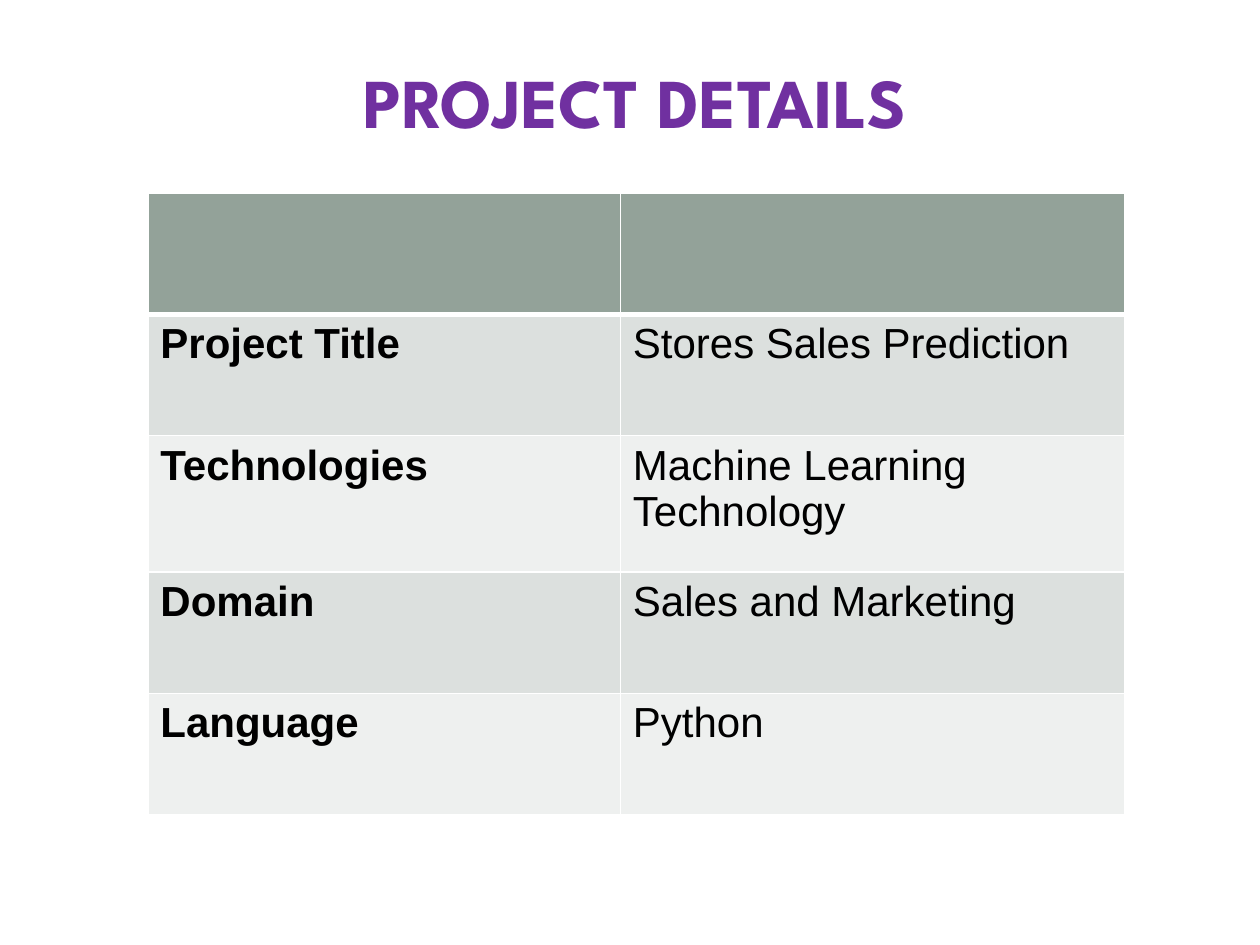
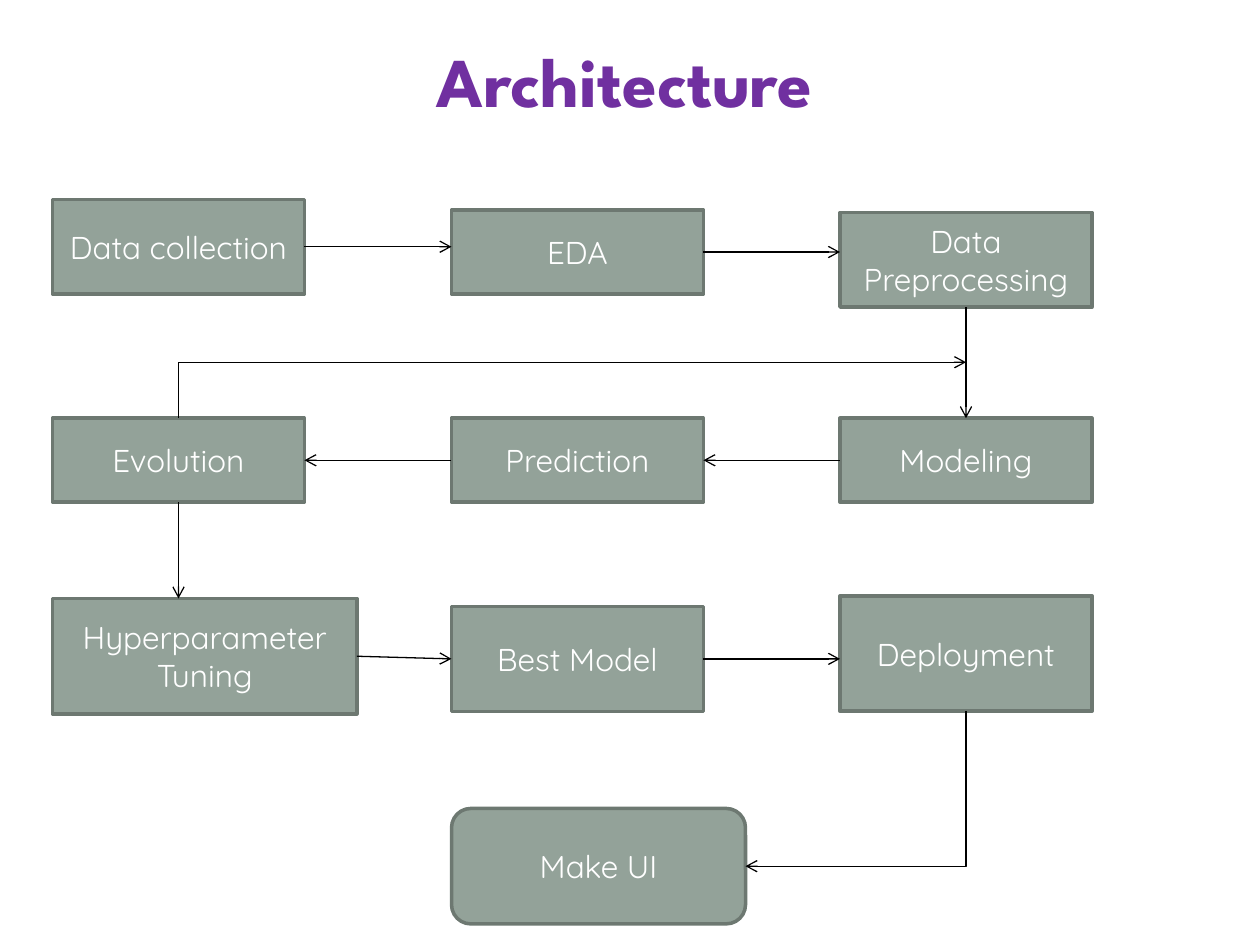
from pptx import Presentation
from pptx.dml.color import RGBColor
from pptx.enum.shapes import MSO_CONNECTOR, MSO_SHAPE
from pptx.enum.text import MSO_ANCHOR, MSO_AUTO_SIZE, PP_ALIGN
from pptx.oxml.ns import qn
from pptx.util import Pt
from lxml.etree import SubElement

COLORS = {
    "title": "7030A0",
    "sage": "93A299",
    "outline": "6D7871",
    "band_dark": "DCE0DE",
    "band_light": "EEF0EF",
    "white": "FFFFFF",
    "black": "000000",
}


class Deck:
    """Holds the shared style and draws on the current slide."""

    def __init__(self):
        self.presentation = Presentation()
        self.presentation.slide_width = Pt(720)
        self.presentation.slide_height = Pt(540)
        self.slide = None

    def color(self, name):
        return RGBColor.from_string(COLORS[name])

    def paint(self, fill, name):
        fill.solid()
        fill.fore_color.rgb = self.color(name)

    def style(self, frame, font, size, color, bold=False, align=None):
        for paragraph in frame.paragraphs:
            paragraph.alignment = align
            for run in paragraph.runs:
                run.font.name = font
                run.font.size = Pt(size)
                run.font.bold = bold
                run.font.color.rgb = self.color(color)

    def new_slide(self, title, left, top, width):
        self.slide = self.presentation.slides.add_slide(self.presentation.slide_layouts[6])
        heading = self.slide.shapes.add_textbox(Pt(left), Pt(top), Pt(width), Pt(55.7))
        frame = heading.text_frame
        frame.word_wrap = True
        frame.auto_size = MSO_AUTO_SIZE.SHAPE_TO_FIT_TEXT
        frame.text = title
        self.style(frame, "League Spartan", 40, "title", True, PP_ALIGN.CENTER)

    def borders(self, cell, top, bottom):
        properties = cell._tc.get_or_add_tcPr()
        for side, width in (("L", 1), ("R", 1), ("T", top), ("B", bottom)):
            edge = SubElement(properties, qn(f"a:ln{side}"), w=str(Pt(width)))
            fill = SubElement(edge, qn("a:solidFill"))
            SubElement(fill, qn("a:srgbClr"), val=COLORS["white"])

    def table(self, left, top, widths, heights, rows):
        grid = self.slide.shapes.add_table(
            len(rows), len(widths), Pt(left), Pt(top), Pt(sum(widths)), Pt(sum(heights))
        ).table
        for column, width in zip(grid.columns, widths):
            column.width = Pt(width)
        for r, (entries, height) in enumerate(zip(rows, heights)):
            grid.rows[r].height = Pt(height)
            band = "sage" if r == 0 else "band_dark" if r % 2 else "band_light"
            for c, entry in enumerate(entries):
                cell = grid.cell(r, c)
                self.borders(cell, 3 if r == 1 else 1, 3 if r == 0 else 1)
                self.paint(cell.fill, band)
                cell.text_frame.text = entry
                self.style(cell.text_frame, "Arial", 24, "black", c == 0)

    def step(self, label, left, top, width, height, kind=MSO_SHAPE.RECTANGLE):
        box = self.slide.shapes.add_shape(kind, Pt(left), Pt(top), Pt(width), Pt(height))
        box.shadow.inherit = False
        self.paint(box.fill, "sage")
        box.line.color.rgb = self.color("outline")
        box.line.width = Pt(2)
        frame = box.text_frame
        frame.word_wrap = True
        frame.vertical_anchor = MSO_ANCHOR.MIDDLE
        frame.text = label
        self.style(frame, "Quicksand", 18, "white", align=PP_ALIGN.CENTER)

    def arrow(self, x1, y1, x2, y2, kind=MSO_CONNECTOR.STRAIGHT):
        link = self.slide.shapes.add_connector(kind, Pt(x1), Pt(y1), Pt(x2), Pt(y2))
        link.line.color.rgb = self.color("black")
        link.line.width = Pt(0.75)
        SubElement(link.line._get_or_add_ln(), qn("a:tailEnd"), type="arrow")
        SubElement(link.element.spPr, qn("a:effectLst"))
        return link

    def corner_arrow(self, x1, y1, x2, y2):
        """Draw a vertical run, then a horizontal one, as a quarter-turned bend."""
        x, y = (x1 + x2) / 2, (y1 + y2) / 2
        dx, dy = (x2 - x1) / 2, (y2 - y1) / 2
        link = self.arrow(x - dy, y + dx, x + dy, y - dx, MSO_CONNECTOR.ELBOW)
        properties = link.element.spPr
        properties.find(qn("a:xfrm")).set("rot", str(90 * 60000))
        properties.find(qn("a:prstGeom")).set("prst", "bentConnector2")

    def save(self):
        self.presentation.save("out.pptx")


deck = Deck()

deck.new_slide("PROJECT DETAILS", 24, 30, 678)
deck.table(84.5, 110.2, [270, 288], [69.4, 69.4, 77.8, 69.4, 69.4], [
    ("", ""),
    ("Project Title", "Stores Sales Prediction"),
    ("Technologies", "Machine Learning Technology"),
    ("Domain", "Sales and Marketing"),
    ("Language", "Python"),
])

deck.new_slide("Architecture", 12, 18, 690)
first, second, third = 30, 258, 480
step_width = 144
first_end, second_end = first + step_width, second + step_width
first_middle, third_middle = first + step_width / 2, third + step_width / 2
for label, left, top, width, height in (
    ("Data collection", first, 114, step_width, 54),
    ("EDA", second, 120, step_width, 48),
    ("Data Preprocessing", third, 121.5, step_width, 54),
    ("Modeling", third, 239, step_width, 48),
    ("Prediction", second, 239, step_width, 48),
    ("Evolution", first, 239, step_width, 48),
    ("Hyperparameter Tuning", first, 342, 174, 66),
    ("Best Model", second, 346.5, step_width, 60),
    ("Deployment", third, 340.5, step_width, 66),
):
    deck.step(label, left, top, width, height)
deck.step("Make UI", second, 462, 168, 66, MSO_SHAPE.ROUNDED_RECTANGLE)

for ends in (
    (first_end, 141, second, 141),
    (second_end, 144, third, 144),
    (third_middle, 175.5, third_middle, 239),
    (third, 263, second_end, 263),
    (second, 263, first_end, 263),
    (first_middle, 287, first_middle, 342),
    (first + 174, 375, second, 376.5),
    (second_end, 376.5, third, 376.5),
):
    deck.arrow(*ends)
deck.corner_arrow(third_middle, 406.5, second + 168, 495)
deck.corner_arrow(first_middle, 239, third_middle, 207)

deck.save()
